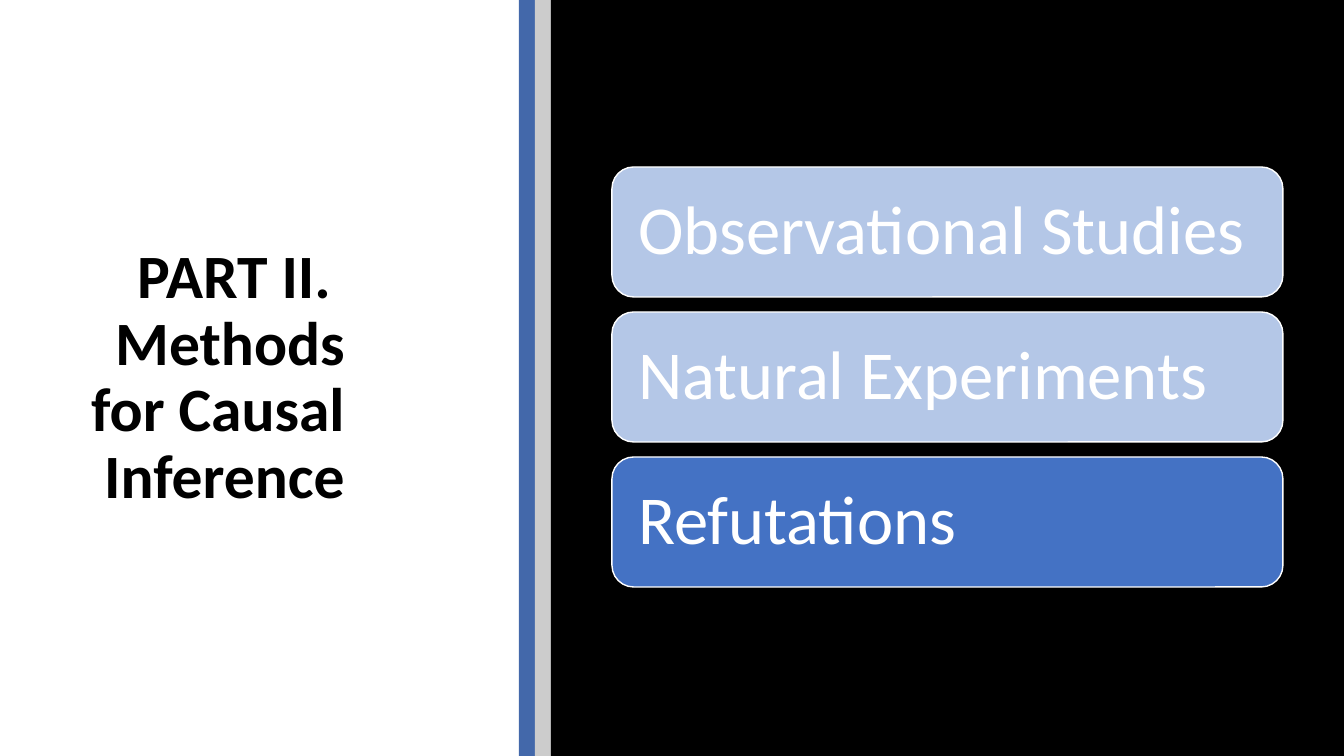
import pptx
import pptx.util
import pptx.dml.color
import pptx.enum.shapes
import pptx.enum.text

TITLE = "PART II. \vMethods for Causal Inference"
CARDS = [
    ("Observational Studies", "muted"),
    ("Natural Experiments", "muted"),
    ("Refutations", "active"),
]

THEME = {
    "font": "Calibri",
    "title_size": 44, "card_size": 49,
    "black": "000000", "white": "FFFFFF",
    "stripe_blue": "4368AA", "stripe_gray": "CCCCCC",
    "muted": "B4C7E7", "active": "4472C4",
}

# All lengths are pixels at 100.8 to the inch.
EMU_PER_PIXEL = 914400 / 100.8
SLIDE_WIDTH, SLIDE_HEIGHT = 1344, 756
TITLE_BOX = (40, 107, 315, 543)
BANDS = [(519, "stripe_blue"), (535, "stripe_gray"), (551, "black")]
CARD_LEFT, CARD_WIDTH, CARD_HEIGHT, CARD_GAP = 612, 671, 130, 15
CARD_INSET, TITLE_INSET = 20, 10

SHAPES = pptx.enum.shapes.MSO_SHAPE
ALIGN = pptx.enum.text.PP_ALIGN


def emu(pixels):
    """Turn pixels into EMU."""
    return pptx.util.Emu(round(pixels * EMU_PER_PIXEL))


def color(name):
    """Look up a theme colour."""
    return pptx.dml.color.RGBColor.from_string(THEME[name])


def apply_format(target, values):
    """Set every attribute in a dict of format values."""
    for name, value in values.items():
        setattr(target, name, value)


def write_text(shape, text, size, ink, alignment, inset, bold=False):
    """Put one formatted, vertically centred paragraph in a shape."""
    frame = shape.text_frame
    frame.text = text
    apply_format(frame, {
        "word_wrap": True,
        "auto_size": pptx.enum.text.MSO_AUTO_SIZE.NONE,
        "vertical_anchor": pptx.enum.text.MSO_ANCHOR.MIDDLE,
        "margin_left": emu(inset), "margin_right": emu(inset),
    })
    paragraph = frame.paragraphs[0]
    apply_format(paragraph, {"alignment": alignment, "line_spacing": 0.9})
    for run in paragraph.runs:
        apply_format(run.font, {"name": THEME["font"], "bold": bold,
                                "size": pptx.util.Pt(THEME[size])})
        run.font.color.rgb = color(ink)


def add_block(slide, kind, box, fill):
    """Add a solid preset shape with no outline or shadow."""
    shape = slide.shapes.add_shape(kind, *map(emu, box))
    shape.shadow.inherit = False
    shape.fill.solid()
    shape.fill.fore_color.rgb = color(fill)
    shape.line.fill.background()
    return shape


def add_bands(slide):
    """Add the two stripes and the dark panel, each up to the next one."""
    edges = [left for left, _ in BANDS[1:]] + [SLIDE_WIDTH]
    for (left, fill), right in zip(BANDS, edges):
        add_block(slide, SHAPES.RECTANGLE,
                  (left, 0, right - left, SLIDE_HEIGHT), fill)


def add_cards(slide):
    """Stack the cards, centred on the slide height."""
    pitch = CARD_HEIGHT + CARD_GAP
    top = (SLIDE_HEIGHT - len(CARDS) * pitch + CARD_GAP) / 2 - 1
    for index, (text, fill) in enumerate(CARDS):
        box = (CARD_LEFT, top + index * pitch, CARD_WIDTH, CARD_HEIGHT)
        card = add_block(slide, SHAPES.ROUNDED_RECTANGLE, box, fill)
        card.line.color.rgb = color("white")
        card.line.width = pptx.util.Pt(1)
        write_text(card, text, "card_size", "white", ALIGN.LEFT, CARD_INSET)


def main():
    """Build and save the slide."""
    presentation = pptx.Presentation()
    apply_format(presentation, {"slide_width": emu(SLIDE_WIDTH),
                                "slide_height": emu(SLIDE_HEIGHT)})
    slide = presentation.slides.add_slide(presentation.slide_layouts[5])
    title = slide.shapes.title
    apply_format(title, dict(zip(("left", "top", "width", "height"),
                                 map(emu, TITLE_BOX))))
    write_text(title, TITLE, "title_size", "black", ALIGN.RIGHT,
               TITLE_INSET, bold=True)
    add_bands(slide)
    add_cards(slide)
    presentation.save("out.pptx")


main()
